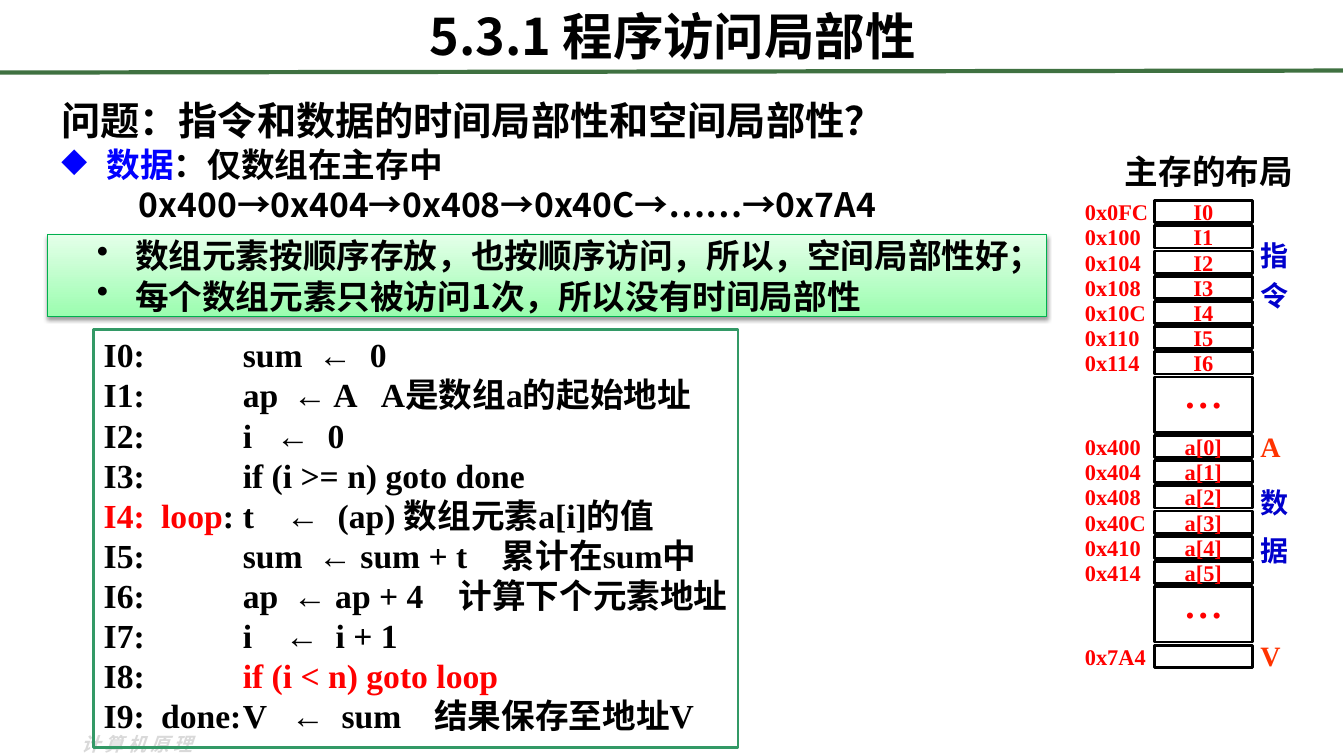
"""Build the slide on locality of program memory access."""
from lxml import etree
from pptx import Presentation
from pptx.dml.color import RGBColor
from pptx.enum.shapes import MSO_CONNECTOR, MSO_SHAPE
from pptx.enum.text import MSO_ANCHOR, PP_ALIGN
from pptx.oxml.ns import qn
from pptx.util import Emu, Inches, Pt

RECTANGLE = MSO_SHAPE.RECTANGLE
STRAIGHT = MSO_CONNECTOR.STRAIGHT
TOP, MIDDLE = MSO_ANCHOR.TOP, MSO_ANCHOR.MIDDLE
LEFT, CENTER = PP_ALIGN.LEFT, PP_ALIGN.CENTER
SANS, SERIF = "Noto Sans CJK SC", "Times New Roman"

COLORS = {
    "black": "000000", "white": "FFFFFF", "red": "FF0000", "blue": "0000FF",
    "navy": "0000CC", "orange": "FF3300", "rule": "3F7141", "code": "339966",
    "mint": "E4FFE9", "green": "9BFDAF", "edge": "00B04E", "pale": "D9D9D9",
}

TITLE = "5.3.1 程序访问局部性"
FOOTER = "计算机原理"
QUESTION = "问题：指令和数据的时间局部性和空间局部性？"
DATA_LINE = [("数据", "blue"), ("：仅数组在主存中", "black")]
ADDRESS_TRACE = "0x400→0x404→0x408→0x40C→……→0x7A4"
FINDINGS = [
    "数组元素按顺序存放，也按顺序访问，所以，空间局部性好；",
    "每个数组元素只被访问1次，所以没有时间局部性",
]
CODE_COLUMNS = (0.57, 1.38)
CODE = [
    ([("I0:\t\tsum\t←\t0", "black")], (2.13, 2.64)),
    ([("I1:\t\tap\t← A\tA是数组a的起始地址", "black")], (1.88, 2.75)),
    ([("I2:\t\ti\t←\t0", "black")], (1.71, 2.22)),
    ([("I3:\t\tif (i >= n) goto done", "black")], ()),
    ([("I4:\tloop", "red"), (":\tt\t←\t(ap) 数组元素a[i]的值", "black")], (1.81, 2.32)),
    ([("I5:\t\tsum\t← sum + t\t累计在sum中", "black")], (2.13, 3.95)),
    ([("I6:\t\tap\t← ap + 4\t计算下个元素地址", "black")], (1.88, 3.52)),
    ([("I7:\t\ti\t←\ti + 1", "black")], (1.8, 2.3)),
    ([("I8:\t\t", "black"), ("if (i < n) goto loop", "red")], ()),
    ([("I9:\tdone:\tV\t←\tsum\t结果保存至地址V", "black")], (1.86, 2.36, 3.28)),
]
MEMORY_TITLE = "主存的布局"
ELLIPSIS = "• • •"
MEMORY = [
    ("0x0FC", "I0"), ("0x100", "I1"), ("0x104", "I2"), ("0x108", "I3"),
    ("0x10C", "I4"), ("0x110", "I5"), ("0x114", "I6"), ("", ELLIPSIS),
    ("0x400", "a[0]"), ("0x404", "a[1]"), ("0x408", "a[2]"), ("0x40C", "a[3]"),
    ("0x410", "a[4]"), ("0x414", "a[5]"), ("", ELLIPSIS), ("0x7A4", ""),
]
SIDE_LABELS = [
    ("指", 2.53, "navy"), ("令", 2.93, "navy"), ("A", 4.43, "orange"),
    ("数", 4.98, "navy"), ("据", 5.46, "navy"), ("V", 6.5, "orange"),
]
CELL_LEFT, CELL_TOP, CELL_WIDTH, CELL_GAP = 11.45, 1.99, 0.97, 0.03
CELL_HEIGHT, ELLIPSIS_HEIGHT = 0.22, 0.55
ADDRESS_LEFT, SIDE_LEFT, SIDE_HEIGHT = 10.76, 12.5, 0.4
LINE_PITCH = 28.6

presentation = Presentation()
presentation.slide_width, presentation.slide_height = Inches(13.33), Inches(7.5)
slide = presentation.slides.add_slide(presentation.slide_layouts[6])


def color(name):
    return RGBColor.from_string(COLORS[name])


def add_box(box, fill=None, line=None, width=2):
    position = [Inches(value) for value in box]
    if not (fill or line):
        return slide.shapes.add_textbox(*position)
    shape = slide.shapes.add_shape(RECTANGLE, *position)
    shape.shadow.inherit = False
    if fill:
        shape.fill.solid()
        shape.fill.fore_color.rgb = color(fill)
    else:
        shape.fill.background()
    shape.line.color.rgb = color(line)
    shape.line.width = Pt(width)
    return shape


def setup_frame(shape, anchor=MIDDLE, margins=(0, 0, 0, 0), wrap=True):
    frame = shape.text_frame
    left, top, right, bottom = map(Inches, margins)
    settings = {"margin_left": left, "margin_top": top, "margin_right": right,
                "margin_bottom": bottom, "vertical_anchor": anchor, "word_wrap": wrap}
    for name, value in settings.items():
        setattr(frame, name, value)
    return frame


def write(paragraph, runs, size, font=SANS, align=LEFT, pitch=None):
    paragraph.alignment = align
    if pitch:
        paragraph.line_spacing = Pt(pitch)
    for text, tint in runs:
        run = paragraph.add_run()
        run.text = text
        for name, value in {"name": font, "size": Pt(size), "bold": True}.items():
            setattr(run.font, name, value)
        run.font.color.rgb = color(tint)
        etree.SubElement(run.font._element, qn("a:ea"), typeface=SANS)


def indent(paragraph, margin, hang=0, bullet=None):
    properties = paragraph._p.get_or_add_pPr()
    properties.set("marL", str(Inches(margin)))
    properties.set("indent", str(-Inches(hang)))
    if bullet:
        etree.SubElement(properties, qn("a:buChar"), char=bullet)


def set_tabs(paragraph, stops):
    tabs = etree.SubElement(paragraph._p.get_or_add_pPr(), qn("a:tabLst"))
    for stop in stops:
        etree.SubElement(tabs, qn("a:tab"), pos=str(Inches(stop)), algn="l")


def add_label(box, text, tint, size, font=SERIF, align=LEFT, **style):
    shape = add_box(box, **style)
    frame = setup_frame(shape)
    if text:
        write(frame.paragraphs[0], [(text, tint)], size, font, align)
    return frame


def add_paragraph(frame, position):
    return frame.paragraphs[0] if position == 0 else frame.add_paragraph()


def add_heading():
    footer = add_label((0.81, 7.21, 1.3, 0.34), FOOTER, "pale", 13.5, SANS)
    run = footer.paragraphs[0].runs[0]
    run.font.italic = True
    run.font._element.set("spc", "300")
    rule = slide.shapes.add_connector(STRAIGHT, 0, Inches(0.72), Inches(13.32), Inches(0.7))
    rule.line.color.rgb = color("rule")
    rule.line.width = Pt(3)
    etree.SubElement(rule._element.spPr, qn("a:effectLst"))
    add_label((0.67, -0.07, 12, 0.85), TITLE, "black", 36, SANS, CENTER)


def add_question():
    frame = setup_frame(add_box((0.51, 0.98, 10.66, 1.3)), TOP, (0.1, 0.05, 0.1, 0.05))
    lines = [
        ([(QUESTION, "black")], 28, 0.2, 0.2, None),
        (DATA_LINE, 24, 0.45, 0.45, "◆"),
        ([(ADDRESS_TRACE, "black")], 24, 0.77, 0, None),
    ]
    for position, (runs, size, margin, hang, bullet) in enumerate(lines):
        paragraph = add_paragraph(frame, position)
        write(paragraph, runs, size, pitch=LINE_PITCH)
        indent(paragraph, margin, hang, bullet)


def add_findings():
    panel = add_box((0.47, 2.33, 9.91, 0.81), "green", "edge", 0.75)
    panel.fill.gradient()
    panel.fill.gradient_angle = 270
    for stop, name in zip(panel.fill.gradient_stops, ("mint", "green")):
        stop.color.rgb = color(name)
    effects = panel._element.spPr.find(qn("a:effectLst"))
    shadow = etree.SubElement(effects, qn("a:outerShdw"), blurRad=str(Pt(3.1)),
                              dist=str(Pt(1.6)), dir="5400000", rotWithShape="0")
    tint = etree.SubElement(shadow, qn("a:srgbClr"), val=COLORS["black"])
    etree.SubElement(tint, qn("a:alpha"), val="38000")
    frame = setup_frame(panel)
    for position, finding in enumerate(FINDINGS):
        paragraph = add_paragraph(frame, position)
        write(paragraph, [(finding, "black")], 24, pitch=LINE_PITCH)
        indent(paragraph, 0.87, 0.38, "•")


def add_code():
    panel = add_box((0.93, 3.27, 6.39, 4.15), line="code")
    frame = setup_frame(panel, TOP, (0.1, 0.05, 0, 0.05))
    for position, (runs, stops) in enumerate(CODE):
        paragraph = add_paragraph(frame, position)
        write(paragraph, runs, 24, SERIF, pitch=LINE_PITCH)
        set_tabs(paragraph, CODE_COLUMNS + stops)


def add_memory():
    add_label((10.97, 1.45, 2.04, 0.5), MEMORY_TITLE, "black", 24, SERIF, CENTER)
    top = CELL_TOP
    for address, content in MEMORY:
        height = ELLIPSIS_HEIGHT if content == ELLIPSIS else CELL_HEIGHT
        add_label((CELL_LEFT, top, CELL_WIDTH, height), content, "red", 16,
                  align=CENTER, fill="white", line="black")
        if address:
            add_label((ADDRESS_LEFT, top, CELL_LEFT - ADDRESS_LEFT, height), address, "red", 16)
        top += height + CELL_GAP
    for text, middle, tint in SIDE_LABELS:
        add_label((SIDE_LEFT, middle - SIDE_HEIGHT / 2, SIDE_HEIGHT, SIDE_HEIGHT), text, tint, 20)


def main():
    add_heading()
    add_question()
    add_findings()
    add_code()
    add_memory()
    presentation.save("out.pptx")


if __name__ == "__main__":
    main()
